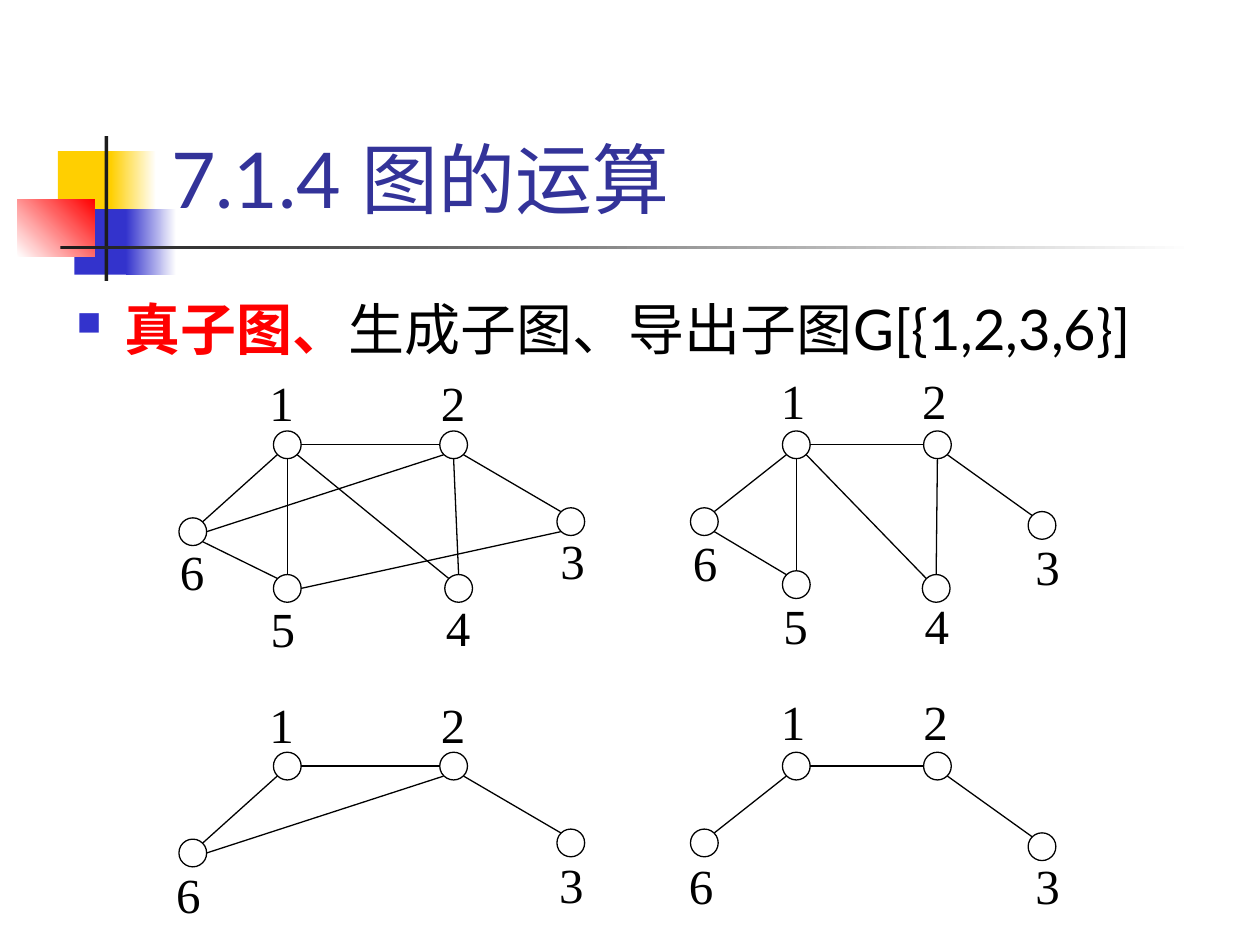
from lxml import etree
from pptx import Presentation
from pptx import util as u
from pptx.dml.color import RGBColor
from pptx.enum import shapes, text
from pptx.oxml.ns import qn

Inches, Pt = u.Inches, u.Pt
COLORS = {name: RGBColor.from_string(value) for name, value in {
    "yellow": "FFCF01", "blue": "3333CC", "red": "FF0000", "dark": "1C1C1C",
    "title": "333399", "white": "FFFFFF", "black": "000000"}.items()}

prs = Presentation()
prs.slide_width, prs.slide_height = Inches(10), Inches(7.5)
slide = prs.slides.add_slide(prs.slide_layouts[6])


def add_shape(kind, left, top, width, height, fill, line=None):
    shape = slide.shapes.add_shape(
        kind, Inches(left), Inches(top), Inches(width), Inches(height))
    shape.shadow.inherit = False
    shape.fill.solid()
    shape.fill.fore_color.rgb = COLORS[fill]
    if line:
        shape.line.color.rgb = COLORS[line]
        shape.line.width = Pt(0.75)
    else:
        shape.line.fill.background()
    return shape


def style_run(run, font, size, color, bold=False):
    run.font.name, run.font.size, run.font.bold = font, Pt(size), bold
    run.font.color.rgb = COLORS[color]


# Corner ornament and title rule: box, start colour, end colour, gradient angle
ornament = [
    ((0.46, 1.2, 0.48, 0.52), "yellow", None, 0),
    ((0.88, 1.2, 0.36, 0.52), "yellow", "white", 0),
    ((0.59, 1.66, 0.46, 0.52), "blue", None, 0),
    ((1, 1.66, 0.4, 0.52), "blue", "white", 0),
    ((0.14, 1.58, 0.61, 0.46), "white", "red", 45),
    ((0.83, 1.08, 0.03, 1.15), "dark", None, 0),
    ((0.48, 1.95, 9, 0.03), "dark", "white", 0),
]
for box, start, end, angle in ornament:
    block = add_shape(shapes.MSO_SHAPE.RECTANGLE, *box, start)
    if end:
        block.fill.gradient()
        block.fill.gradient_angle = angle
        for stop, color in zip(block.fill.gradient_stops, (start, end)):
            stop.color.rgb = COLORS[color]

# Title
title = slide.shapes.add_textbox(Inches(1.26), Inches(0.23), Inches(8.52), Inches(1.6))
title.text_frame.word_wrap = True
title.text_frame.vertical_anchor = text.MSO_ANCHOR.BOTTOM
title.text_frame.text = "7.1.4 图的运算"
style_run(title.text_frame.paragraphs[0].runs[0], "Lato", 44, "title")

# Bulleted topic line
topics = slide.shapes.add_textbox(Inches(0.51), Inches(2.02), Inches(9.49), Inches(5.48))
topics.text_frame.word_wrap = True
topic = topics.text_frame.paragraphs[0]
topic.line_spacing = 1.5
props = topic._p.get_or_add_pPr()
props.set("marL", str(Inches(0.38)))
props.set("indent", str(-Inches(0.38)))
bullet_color = etree.SubElement(props, qn("a:buClr"))
etree.SubElement(bullet_color, qn("a:srgbClr"), val=str(COLORS["blue"]))
etree.SubElement(props, qn("a:buSzPct"), val="60000")
etree.SubElement(props, qn("a:buChar"), char="■")
for words, color, bold in [("真子图、", "red", True),
                           ("生成子图、导出子图G[{1,2,3,6}]", "black", False)]:
    run = topic.add_run()
    run.text = words
    style_run(run, "Lato", 32, color, bold)

# Edges of the graphs, with the side of each node circle where they attach
RADIUS, DIAGONAL = 0.11, 0.08
SIDES = {"left": (-RADIUS, 0), "right": (RADIUS, 0),
         "top": (0, -RADIUS), "bottom": (0, RADIUS),
         "top left": (-DIAGONAL, -DIAGONAL), "top right": (DIAGONAL, -DIAGONAL),
         "bottom left": (-DIAGONAL, DIAGONAL), "bottom right": (DIAGONAL, DIAGONAL)}
EDGES = {
    (1, 2): ("right", "left"),
    (1, 5): ("bottom", "top"),
    (2, 4): ("bottom", "top"),
    (1, 4): ("bottom right", "top left"),
    (1, 6): ("bottom left", "top right"),
    (6, 5): ("bottom right", "top left"),
    (2, 3): ("bottom right", "top left"),
    (2, 6): ("bottom left", "right"),
    (3, 5): ("bottom left", "right"),
}

# Node centres; the lower row repeats the upper one without nodes 4 and 5
left_nodes = {1: (2.28, 3.53), 2: (3.6, 3.53), 3: (4.53, 4.14),
              4: (3.64, 4.67), 5: (2.28, 4.67), 6: (1.53, 4.22)}
right_nodes = {1: (6.32, 3.53), 2: (7.44, 3.53), 3: (8.27, 4.17),
               4: (7.43, 4.67), 5: (6.32, 4.64), 6: (5.59, 4.14)}
ROW_STEP = 2.55
all_edges = list(EDGES)
spanning_edges = [edge for edge in EDGES if edge not in [(2, 6), (3, 5)]]

# Each graph: node centres, edges, row offset, label corners
graphs = [
    (left_nodes, all_edges, 0,
     {1: (2.04, 2.91), 2: (3.4, 2.91), 3: (4.35, 4.16),
      4: (3.44, 4.69), 5: (2.05, 4.7), 6: (1.33, 4.25)}),
    (right_nodes, spanning_edges, 0,
     {1: (6.1, 2.89), 2: (7.22, 2.89), 3: (8.12, 4.21),
      4: (7.24, 4.68), 5: (6.12, 4.68), 6: (5.4, 4.18)}),
    (left_nodes, all_edges, ROW_STEP,
     {1: (2.04, 5.46), 2: (3.4, 5.46), 3: (4.34, 6.73), 6: (1.3, 6.81)}),
    (right_nodes, spanning_edges, ROW_STEP,
     {1: (6.1, 5.44), 2: (7.23, 5.44), 3: (8.12, 6.74), 6: (5.37, 6.74)}),
]
for nodes, edges, drop, labels in graphs:
    for number, (x, y) in labels.items():
        label = add_shape(shapes.MSO_SHAPE.RECTANGLE, x, y, 0.74, 0.64, "white", "white")
        label.text_frame.vertical_anchor = text.MSO_ANCHOR.TOP
        label.text_frame.text = str(number)
        paragraph = label.text_frame.paragraphs[0]
        paragraph.alignment = text.PP_ALIGN.LEFT
        style_run(paragraph.runs[0], "Times New Roman", 28, "black")

    for number in labels:
        x, y = nodes[number]
        add_shape(shapes.MSO_SHAPE.OVAL, x - RADIUS, y + drop - RADIUS,
                  2 * RADIUS, 2 * RADIUS, "white", "black")

    for edge in edges:
        if not set(edge) <= set(labels):
            continue
        ends = []
        for number, side in zip(edge, EDGES[edge]):
            (x, y), (dx, dy) = nodes[number], SIDES[side]
            ends += [Inches(x + dx), Inches(y + drop + dy)]
        link = slide.shapes.add_connector(shapes.MSO_CONNECTOR.STRAIGHT, *ends)
        link.line.color.rgb = COLORS["black"]
        link.line.width = Pt(0.75)
        etree.SubElement(link._element.spPr, qn("a:effectLst"))

prs.save("out.pptx")
